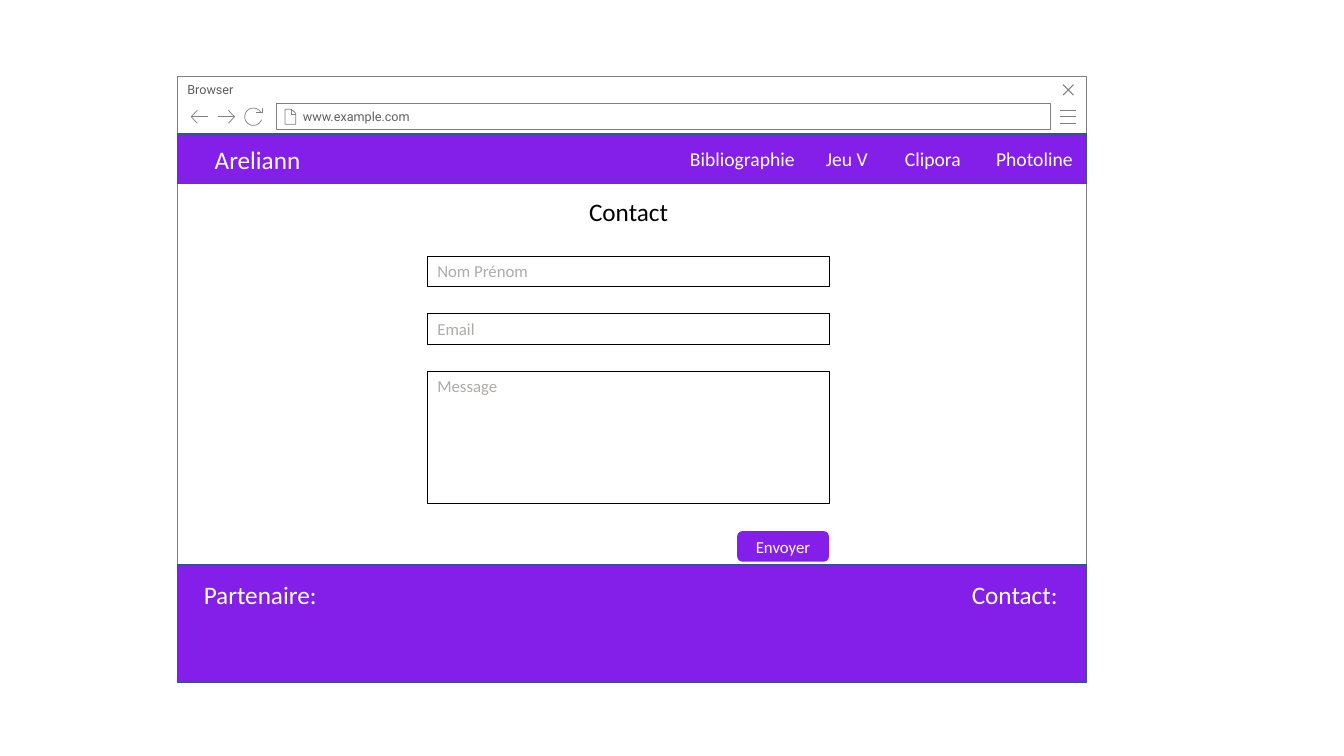
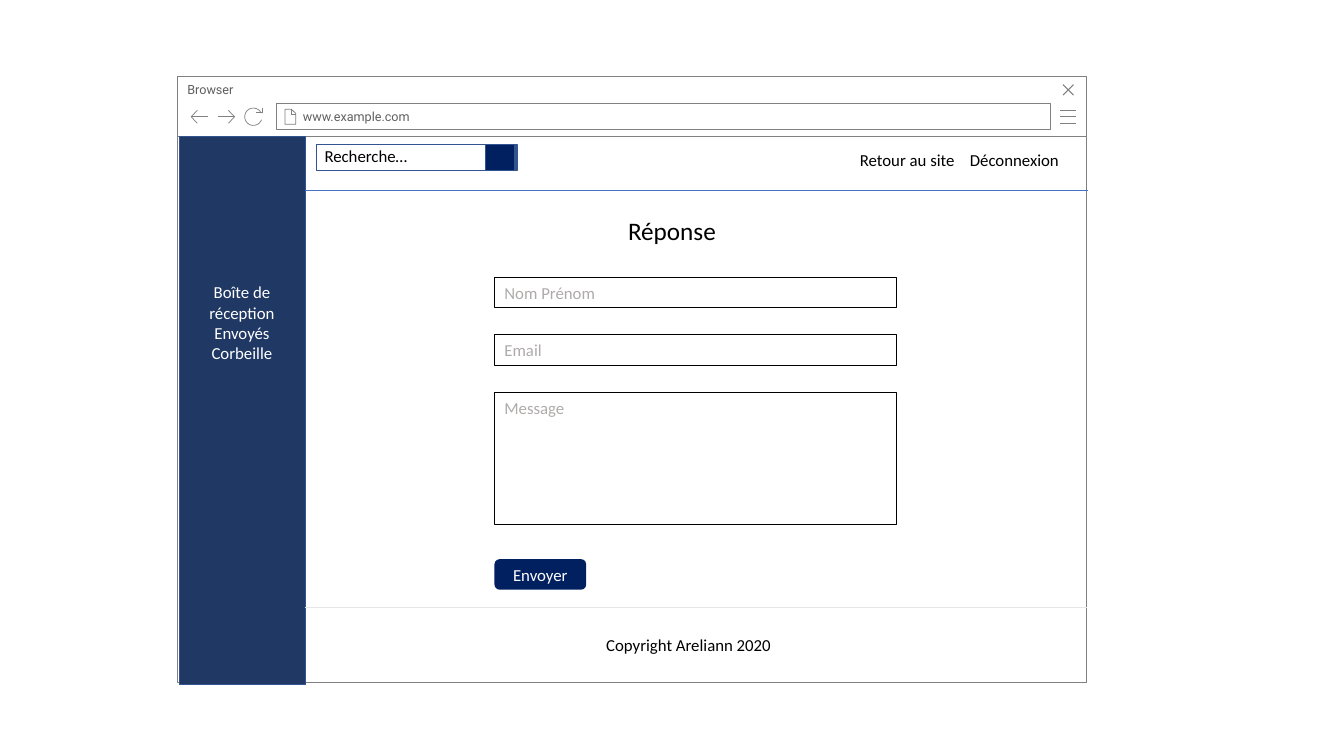
import math
from dataclasses import dataclass

from lxml import etree
from pptx import Presentation
from pptx.dml.color import RGBColor
from pptx.enum.shapes import MSO_CONNECTOR, MSO_SHAPE
from pptx.enum.text import MSO_ANCHOR, MSO_AUTO_SIZE, PP_ALIGN
from pptx.oxml.ns import qn
from pptx.util import Pt

RECTANGLE, ROUNDED = MSO_SHAPE.RECTANGLE, MSO_SHAPE.ROUNDED_RECTANGLE
STRAIGHT = MSO_CONNECTOR.STRAIGHT
TOP, MIDDLE = MSO_ANCHOR.TOP, MSO_ANCHOR.MIDDLE
LEFT, CENTER, RIGHT = PP_ALIGN.LEFT, PP_ALIGN.CENTER, PP_ALIGN.RIGHT
NO_AUTOFIT = MSO_AUTO_SIZE.NONE
TITLE_ONLY = 5


@dataclass(frozen=True)
class Theme:
    font: str = "Calibri"
    browser_font: str = "Roboto"
    white: str = "FFFFFF"
    black: str = "000000"
    gray: str = "808080"
    browser_text: str = "5F5F5F"
    hint: str = "AFABAB"
    purple: str = "841FE9"
    navy: str = "002060"
    sidebar: str = "203864"
    border: str = "325491"
    blue_rule: str = "4472C4"
    pale_rule: str = "E7E6E6"
    heading_size: float = 18
    menu_size: float = 14
    body_size: float = 12
    browser_size: float = 9
    hairline: float = 0.5
    field_line: float = 0.75
    band_line: float = 1


THEME = Theme()

# Browser window, shared by both slides
WINDOW_LEFT, WINDOW_WIDTH = 126.7, 649.4
BAR_TOP, BAR_HEIGHT = 54.7, 42.5
BODY_TOP, BODY_HEIGHT = 96.5, 391

# Contact form, shared by both slides
FIELD_WIDTH, FIELD_HEIGHT, MESSAGE_HEIGHT = 287.3, 21.8, 94.3
FIELD_STEP = 41.1
BUTTON_WIDTH = 65.5
FIELDS = [
    ("Nom Prénom", FIELD_HEIGHT),
    ("Email", FIELD_HEIGHT),
    ("Message", MESSAGE_HEIGHT),
]


def color(value):
    return RGBColor.from_string(value)


def write_text(shape, text, size=THEME.body_size, font=THEME.font,
               ink=THEME.black, align=LEFT, anchor=TOP,
               insets=(7.2, 3.6, 7.2, 3.6)):
    """Fill a shape with text, one paragraph for each line."""
    frame = shape.text_frame
    frame.word_wrap = True
    frame.auto_size = NO_AUTOFIT
    frame.vertical_anchor = anchor
    (frame.margin_left, frame.margin_top,
     frame.margin_right, frame.margin_bottom) = map(Pt, insets)
    frame.text = text
    for paragraph in frame.paragraphs:
        paragraph.alignment = align
        paragraph.font.size = Pt(size)
        paragraph.font.name = font
        paragraph.font.color.rgb = color(ink)


def style_outline(shape, line, width):
    shape.shadow.inherit = False
    if line:
        shape.line.color.rgb = color(line)
        shape.line.width = Pt(width)
    else:
        shape.line.fill.background()


def add_box(shapes, left, top, width, height, fill=None, line=None,
            line_width=THEME.hairline, kind=RECTANGLE):
    shape = shapes.add_shape(kind, Pt(left), Pt(top), Pt(width), Pt(height))
    if fill:
        shape.fill.solid()
        shape.fill.fore_color.rgb = color(fill)
    else:
        shape.fill.background()
    style_outline(shape, line, line_width)
    return shape


def add_label(shapes, text, left, top, width, height, **text_format):
    shape = shapes.add_textbox(Pt(left), Pt(top), Pt(width), Pt(height))
    write_text(shape, text, **text_format)


def add_links(shapes, links, top, height, **text_format):
    """Place links, given as text, left and width, on one row."""
    for text, left, width in links:
        add_label(shapes, text, left, top, width, height, anchor=MIDDLE,
                  insets=(0, 0, 0, 0), **text_format)


def add_rule(shapes, left, right, y, line):
    connector = shapes.add_connector(STRAIGHT, Pt(left), Pt(y), Pt(right), Pt(y))
    connector.line.color.rgb = color(line)
    connector.line.width = Pt(THEME.hairline)
    etree.SubElement(connector.element.spPr, qn("a:effectLst"))


def add_icon(shapes, strokes, width=THEME.hairline):
    """Draw an icon from strokes, each a list of points."""
    strokes = [[(Pt(x), Pt(y)) for x, y in stroke] for stroke in strokes]
    builder = shapes.build_freeform(*strokes[0][0])
    for number, stroke in enumerate(strokes):
        if number:
            builder.move_to(*stroke[0])
        builder.add_line_segments(stroke[1:], close=False)
    shape = builder.convert_to_shape()
    shape.fill.background()
    style_outline(shape, THEME.gray, width)


def add_arrow(shapes, tail, tip, y):
    head = tip + math.copysign(4.5, tail - tip)
    add_icon(shapes, [[(head, y - 4.6), (tip, y), (head, y + 4.6)],
                      [(tip, y), (tail, y)]])


def add_browser(slide):
    shapes = slide.shapes.add_group_shape().shapes
    panel = {"fill": THEME.white, "line": THEME.gray}
    caption = {"size": THEME.browser_size, "font": THEME.browser_font,
               "ink": THEME.browser_text}

    # Window and address bar
    add_box(shapes, WINDOW_LEFT, BODY_TOP, WINDOW_WIDTH, BODY_HEIGHT, **panel)
    bar = add_box(shapes, WINDOW_LEFT, BAR_TOP, WINDOW_WIDTH, BAR_HEIGHT, **panel)
    write_text(bar, "Browser", **caption)
    address = add_box(shapes, 197.6, 74, 552.6, 18.7, **panel)
    write_text(address, "www.example.com", anchor=MIDDLE,
               insets=(18.7, 3.6, 7.2, 3.6), **caption)

    # Menu, close and page icons
    row = 83.4
    add_icon(shapes, [[(757.3, row + shift), (768.9, row + shift)]
                      for shift in (4.4, 0, -4.4)])
    add_icon(shapes, [[(766.8, 60.4), (759.3, 67.9)],
                      [(759.3, 60.4), (766.8, 67.9)]], THEME.field_line)
    add_icon(shapes, [[(207.9, 78.1), (207.9, 81.4), (211.2, 81.4)],
                      [(203.6, 78), (203.6, 88.8), (211.2, 88.8),
                       (211.2, 81), (208.2, 78), (203.6, 78)]])

    # Back, forward and reload icons
    add_arrow(shapes, 148.5, 136.5, row)
    add_arrow(shapes, 155.5, 167.6, row)
    arc = [(181 + 6.2 * math.cos(math.radians(angle)),
            row + 6.2 * math.sin(math.radians(angle)))
           for angle in range(20, 336, 15)]
    add_icon(shapes, [[(187.2, 76.8), (187.2, 80.5), (183.2, 80.5)], arc])


def add_title(slide, text, center, middle):
    width, height = 190, 30
    title = slide.shapes.title
    title.left, title.top = Pt(center - width / 2), Pt(middle - height / 2)
    title.width, title.height = Pt(width), Pt(height)
    write_text(title, text, size=THEME.heading_size, align=CENTER, anchor=MIDDLE)
    # Bring the title in front of the browser window
    slide.shapes[-1].element.addnext(title.element)


def add_form(shapes, left, top, button_left, button_top, button_fill):
    for number, (hint, height) in enumerate(FIELDS):
        field = add_box(shapes, left, top + number * FIELD_STEP, FIELD_WIDTH,
                        height, line=THEME.black, line_width=THEME.field_line)
        write_text(field, hint, ink=THEME.hint)
    button = add_box(shapes, button_left, button_top, BUTTON_WIDTH,
                     FIELD_HEIGHT, fill=button_fill, kind=ROUNDED)
    write_text(button, "Envoyer", ink=THEME.white, align=CENTER, anchor=MIDDLE)


def add_page(presentation):
    slide = presentation.slides.add_slide(presentation.slide_layouts[TITLE_ONLY])
    add_browser(slide)
    return slide


def build_contact_page(presentation):
    slide = add_page(presentation)
    shapes = slide.shapes

    # Header and footer bands
    for top, height in ((95.8, 35.3), (403.7, 83.5)):
        add_box(shapes, WINDOW_LEFT, top, WINDOW_WIDTH, height,
                fill=THEME.purple, line=THEME.border, line_width=THEME.band_line)
    heading = {"size": THEME.heading_size, "ink": THEME.white}
    add_label(shapes, "Areliann", 129.6, 99.4, 108.7, 29, align=CENTER, **heading)
    add_links(shapes, [("Bibliographie", 492.8, 90), ("Jeu V", 590, 50),
                       ("Clipora", 646.3, 60), ("Photoline", 711.5, 64)],
              95.8, 35.3, size=THEME.menu_size, ink=THEME.white)
    add_label(shapes, "Partenaire:", 138.5, 410, 150, 29, **heading)
    add_label(shapes, "Contact:", 612.5, 410, 150, 29, align=RIGHT, **heading)

    # Form
    add_title(slide, "Contact", 449, 151)
    add_form(shapes, 305.3, 182.9, 526.6, 379.4, THEME.purple)


def build_reply_page(presentation):
    slide = add_page(presentation)
    shapes = slide.shapes
    framed = {"line": THEME.border, "line_width": THEME.band_line}

    # Sidebar
    add_box(shapes, 128.2, 97.4, 90, 391.7, fill=THEME.sidebar, **framed)
    add_label(shapes, "Boîte de réception\nEnvoyés\nCorbeille",
              128.2, 198, 89.3, 65.5, ink=THEME.white, align=CENTER)

    # Search and links
    search = add_box(shapes, 226.1, 103.2, 143.3, 18.5, **framed)
    write_text(search, "Recherche…", insets=(5.7, 0.7, 22, 0))
    add_box(shapes, 346.9, 103.2, 20.9, 18.5, fill=THEME.navy, **framed)
    add_links(shapes, [("Retour au site", 614.2, 75), ("Déconnexion", 692.8, 72)],
              103.5, 21.6)
    add_rule(shapes, 218.2, 777.4, 136, THEME.blue_rule)

    # Form
    add_title(slide, "Réponse", 480, 164.5)
    add_form(shapes, 353.2, 198.1, 353.2, 399.4, THEME.navy)

    # Footer
    add_rule(shapes, 217.7, 776.7, 434, THEME.pale_rule)
    add_label(shapes, "Copyright Areliann 2020", 425.9, 450, 171.4, 21.6)


def main():
    presentation = Presentation()
    presentation.slide_width, presentation.slide_height = Pt(960), Pt(540)
    build_contact_page(presentation)
    build_reply_page(presentation)
    presentation.save("out.pptx")


if __name__ == "__main__":
    main()
